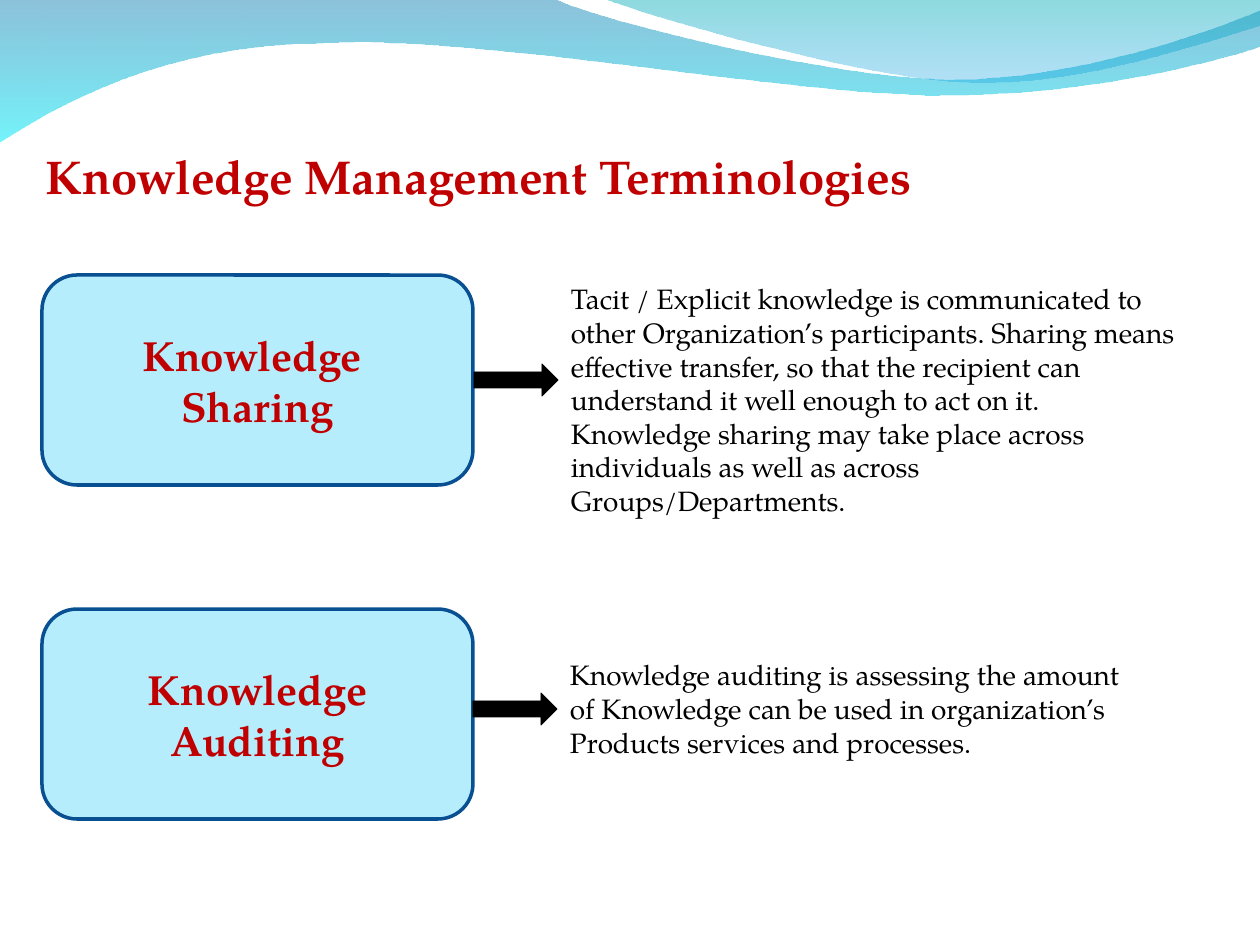
import pptx
import pptx.util
import pptx.dml.color
import pptx.enum.shapes
import pptx.enum.text
import pptx.oxml.ns
import lxml.etree

PX = 914400 / 126
THEME = {
    "font": "TeX Gyre Pagella",
    "heading": "C00000", "body": "000000", "arrow": "000000",
    "box": "B5EDFD", "border": "085091",
    "title_size": 27, "label_size": 24, "body_size": 16,
}
SHAPE = pptx.enum.shapes.MSO_SHAPE
ALIGN = pptx.enum.text.PP_ALIGN
ANCHOR = pptx.enum.text.MSO_ANCHOR
AUTO = pptx.enum.text.MSO_AUTO_SIZE
rgb = pptx.dml.color.RGBColor.from_string
qn = pptx.oxml.ns.qn


def px(*values):
    return [round(v * PX) for v in values]


def write(sp, text, size, color, bold=False, align=ALIGN.LEFT,
          anchor=ANCHOR.TOP, inset=(13, 6), spacing=None, after=None,
          auto_size=AUTO.SHAPE_TO_FIT_TEXT):
    tf = sp.text_frame
    tf.word_wrap = True
    tf.auto_size = auto_size
    tf.vertical_anchor = anchor
    tf.margin_left, tf.margin_top = px(*inset)
    tf.margin_right, tf.margin_bottom = px(*inset)
    for i, line in enumerate(text.split("\n")):
        p = tf.paragraphs[0] if i == 0 else tf.add_paragraph()
        p.alignment = align
        if spacing:
            p.line_spacing = spacing
        if after is not None:
            p.space_after = pptx.util.Pt(after)
        r = p.add_run()
        r.text = line
        r.font.name = THEME["font"]
        r.font.size = pptx.util.Pt(size)
        r.font.bold = bold
        r.font.color.rgb = rgb(color)


prs = pptx.Presentation()
prs.slide_width, prs.slide_height = px(1260, 945)
s = prs.slides.add_slide(prs.slide_layouts[6])

# Header waves: three points are a Bezier curve, one is a straight line;
# gradient stops are colour and opacity in percent
waves = [
    ((0, -1),
     [[(554, -1)],
      [(600, 21), (837, 79), (955, 79)],
      [(1075, 79), (1207, 33), (1260, 11)],
      [(1261, 46)],
      [(1239, 55), (1096, 96), (940, 95)],
      [(784, 95), (481, 35), (324, 43)],
      [(163, 44), (58, 105), (-1, 142)]],
     [("0079AF", 45), ("00EBF8", 55)]),
    ((604, -1),
     [[(641, 14), (859, 78), (969, 82)],
      [(1079, 87), (1211, 40), (1260, 26)],
      [(1260, 0)]],
     [("00ADB6", 45), ("009BE5", 30)]),
]
for start, segments, stops in waves:
    builder = s.shapes.build_freeform(*px(*start))
    builder.add_line_segments([px(*pt) for seg in segments for pt in seg], close=True)
    sp = builder.convert_to_shape()

    # Join each run of three points into one curve
    lines = iter(sp._element.findall(".//" + qn("a:lnTo")))
    for seg in segments:
        first = next(lines)
        if len(seg) == 3:
            first.tag = qn("a:cubicBezTo")
            for follower in (next(lines), next(lines)):
                first.append(follower[0])
                follower.getparent().remove(follower)

    sp.shadow.inherit = False
    sp.line.fill.background()
    sp.fill.gradient()
    sp.fill.gradient_angle = 270
    for stop, position, (color, opacity) in zip(sp.fill.gradient_stops, (0, 1), stops):
        stop.position = position
        stop.color.rgb = rgb(color)
        clr = stop.color._xFill.find(qn("a:srgbClr"))
        lxml.etree.SubElement(clr, qn("a:alpha")).set("val", str(opacity * 1000))

# Title
sp = s.shapes.add_textbox(*px(32, 140, 1260, 79))
write(sp, "Knowledge Management Terminologies", THEME["title_size"],
      THEME["heading"], bold=True, anchor=ANCHOR.MIDDLE, inset=(14, 14),
      spacing=0.9, after=11.8)

# Terms: label, box top, arrow left and top, definition area, definition
terms = [
    ("Knowledge \nSharing", 275, (474, 364), (558, 276, 630, 248),
     "Tacit / Explicit knowledge is communicated to other Organization’s "
     "participants. Sharing means effective transfer, so that the recipient can "
     "understand it well enough to act on it. Knowledge sharing may take place "
     "across individuals as well as across Groups/Departments."),
    ("Knowledge Auditing", 609, (473, 693), (557, 652, 632, 113),
     "Knowledge auditing is assessing the amount\n"
     "of Knowledge can be used in organization’s\n"
     "Products services and processes."),
]
for label, box_top, arrow_at, area, definition in terms:
    box = s.shapes.add_shape(SHAPE.FLOWCHART_ALTERNATE_PROCESS,
                             *px(42, box_top, 431, 210))
    arrow = s.shapes.add_shape(SHAPE.RIGHT_ARROW, *px(*arrow_at, 84, 32))
    for sp, fill, line, width in ((box, THEME["box"], THEME["border"], 2),
                                  (arrow, THEME["arrow"], THEME["arrow"], 0.5)):
        sp.shadow.inherit = False
        sp.fill.solid()
        sp.fill.fore_color.rgb = rgb(fill)
        sp.line.color.rgb = rgb(line)
        sp.line.width = pptx.util.Pt(width)
    write(box, label, THEME["label_size"], THEME["heading"], bold=True,
          align=ALIGN.CENTER, anchor=ANCHOR.MIDDLE, auto_size=AUTO.NONE)
    sp = s.shapes.add_textbox(*px(*area))
    write(sp, definition, THEME["body_size"], THEME["body"])

prs.save("out.pptx")
